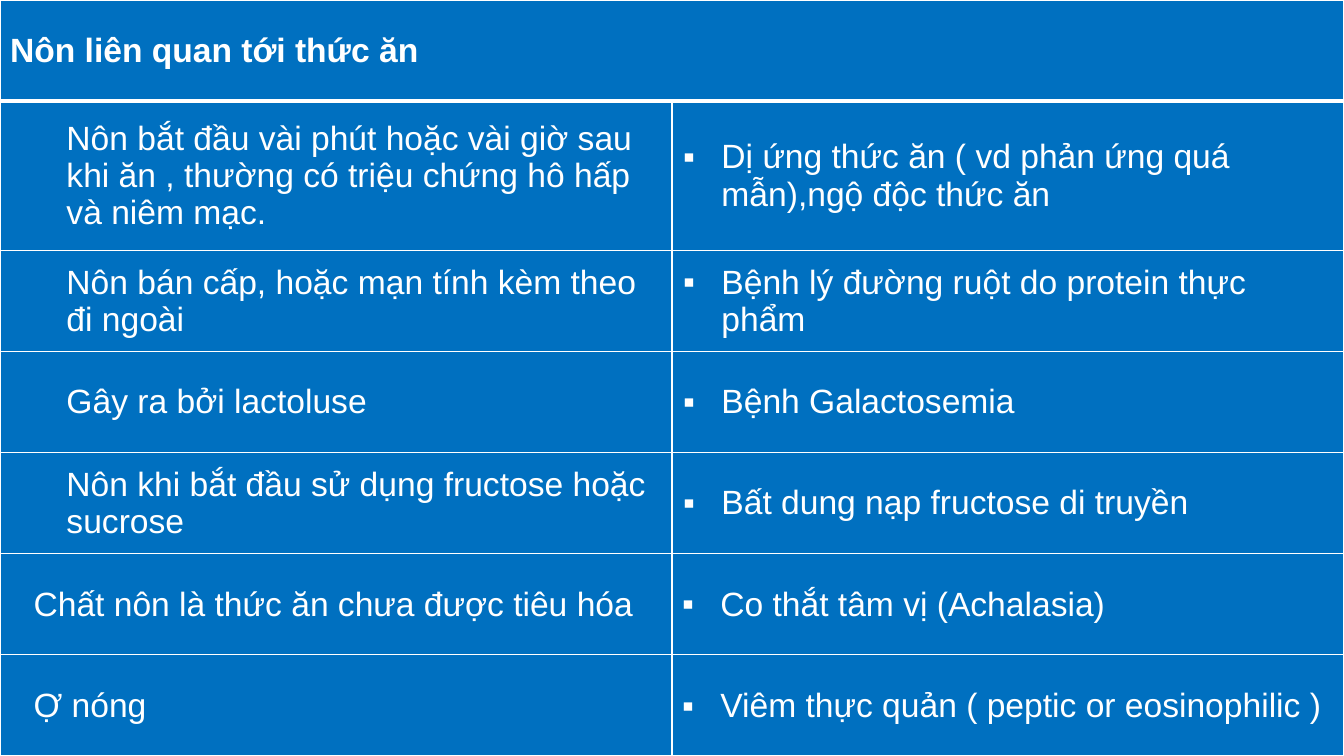
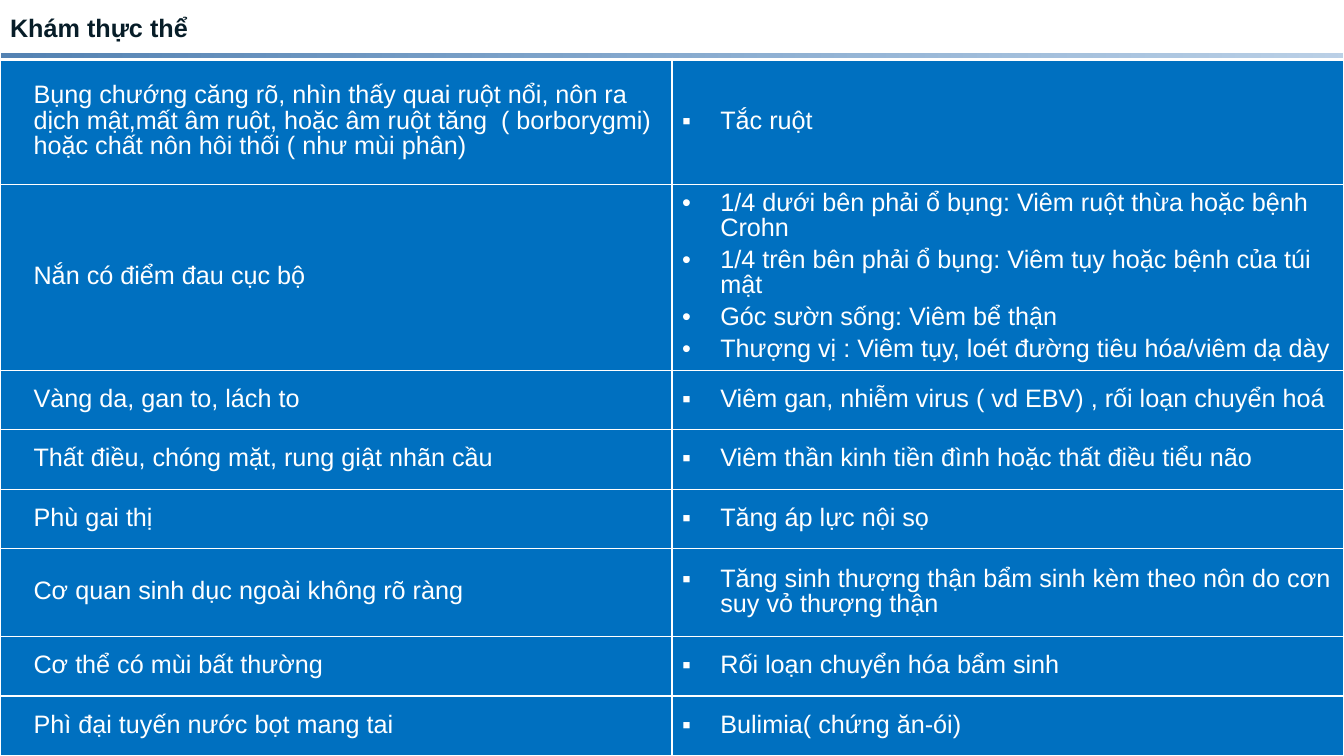
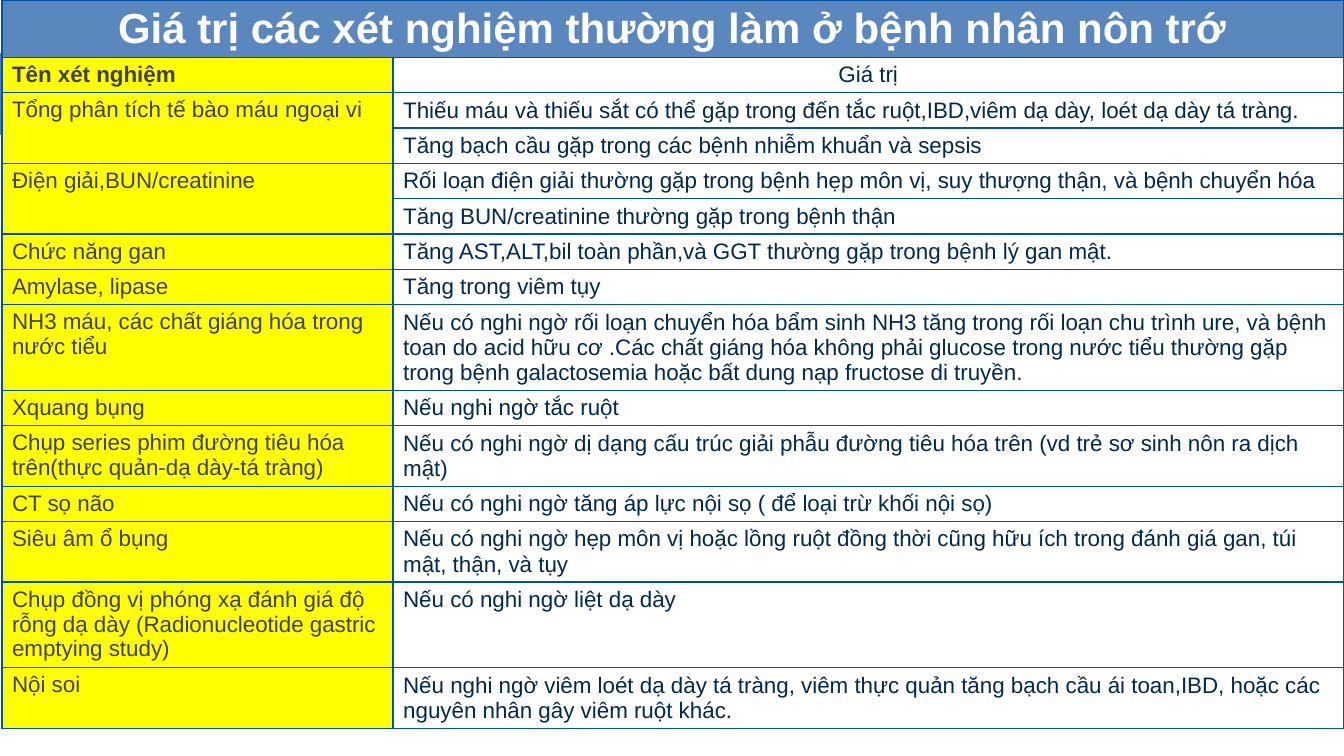
from pptx import Presentation
from pptx.dml.color import RGBColor
from pptx.enum import shapes, text
from pptx.oxml import parse_xml, ns
from pptx.util import Pt

WHITE = RGBColor(0xFF, 0xFF, 0xFF)
BLUE = RGBColor(0x00, 0x70, 0xC0)
NAVY = RGBColor(0x00, 0x52, 0xA4)
DEEP_NAVY = RGBColor(0x00, 0x47, 0x8F)
STEEL = RGBColor(0x5A, 0x87, 0xBE)
YELLOW = RGBColor(0xFF, 0xFF, 0x00)
INK = RGBColor(0x07, 0x1D, 0x28)
GREY = RGBColor(0x40, 0x40, 0x40)
TEXT_BLUE = RGBColor(0x00, 0x29, 0x52)

FONT = "Arial"
WIDTH, HEIGHT = 960, 540
HANGING = 27.36
SQUARE, DOT = "▪", "•"

# Each finding pairs a sign with its possible causes
FOOD_TITLE = "Nôn liên quan tới thức ăn"
FOOD_FINDINGS = [
    ("Nôn bắt đầu vài phút hoặc vài giờ sau khi ăn , thường có triệu chứng hô hấp và niêm mạc.",
     "Dị ứng thức ăn ( vd phản ứng quá mẫn),ngộ độc thức ăn"),
    ("Nôn bán cấp, hoặc mạn tính kèm theo đi ngoài",
     "Bệnh lý đường ruột do protein thực phẩm"),
    ("Gây ra bởi lactoluse", "Bệnh Galactosemia"),
    ("Nôn khi bắt đầu sử dụng fructose hoặc sucrose", "Bất dung nạp fructose di truyền"),
    ("Chất nôn là thức ăn chưa được tiêu hóa", "Co thắt tâm vị (Achalasia)"),
    ("Ợ nóng", "Viêm thực quản ( peptic or eosinophilic )"),
]
EXAM_TITLE = "Khám thực thể"
EXAM_FINDINGS = [
    ("Bụng chướng căng rõ, nhìn thấy quai ruột nổi, nôn ra dịch mật,mất âm ruột, "
     "hoặc âm ruột tăng  ( borborygmi) hoặc chất nôn hôi thối ( như mùi phân)", "Tắc ruột"),
    ("Nắn có điểm đau cục bộ",
     "1/4 dưới bên phải ổ bụng: Viêm ruột thừa hoặc bệnh Crohn\n"
     "1/4 trên bên phải ổ bụng: Viêm tụy hoặc bệnh của túi mật\n"
     "Góc sườn sống: Viêm bể thận\n"
     "Thượng vị : Viêm tụy, loét đường tiêu hóa/viêm dạ dày"),
    ("Vàng da, gan to, lách to", "Viêm gan, nhiễm virus ( vd EBV) , rối loạn chuyển hoá"),
    ("Thất điều, chóng mặt, rung giật nhãn cầu",
     "Viêm thần kinh tiền đình hoặc thất điều tiểu não"),
    ("Phù gai thị", "Tăng áp lực nội sọ"),
    ("Cơ quan sinh dục ngoài không rõ ràng",
     "Tăng sinh thượng thận bẩm sinh kèm theo nôn do cơn suy vỏ thượng thận"),
    ("Cơ thể có mùi bất thường", "Rối loạn chuyển hóa bẩm sinh"),
    ("Phì đại tuyến nước bọt mang tai", "Bulimia( chứng ăn-ói)"),
]
# Each test: name, then its values as (text, number of lines in the row)
TEST_TITLE = "Giá trị các xét nghiệm thường làm ở bệnh nhân nôn trớ"
TEST_HEADS = ("Tên xét nghiệm", "Giá trị")
TESTS = [
    ("Tổng phân tích tế bào máu ngoại vi",
     [("Thiếu máu và thiếu sắt có thể gặp trong đến tắc ruột,IBD,viêm dạ dày, "
       "loét dạ dày tá tràng.", 1),
      ("Tăng bạch cầu gặp trong các bệnh nhiễm khuẩn và sepsis", 1)]),
    ("Điện giải,BUN/creatinine",
     [("Rối loạn điện giải thường gặp trong bệnh hẹp môn vị, suy thượng thận, "
       "và bệnh chuyển hóa", 1),
      ("Tăng BUN/creatinine thường gặp trong bệnh thận", 1)]),
    ("Chức năng gan",
     [("Tăng AST,ALT,bil toàn phần,và GGT thường gặp trong bệnh lý gan mật.", 1)]),
    ("Amylase, lipase", [("Tăng trong viêm tụy", 1)]),
    ("NH3 máu, các chất giáng hóa trong nước tiểu",
     [("Nếu có nghi ngờ rối loạn chuyển hóa bẩm sinh NH3 tăng trong rối loạn chu trình ure, "
       "và bệnh toan do acid hữu cơ .Các chất giáng hóa không phải glucose trong nước tiểu "
       "thường gặp trong bệnh galactosemia hoặc bất dung nạp fructose di truyền.", 3)]),
    ("Xquang bụng", [("Nếu nghi ngờ tắc ruột", 1)]),
    ("Chụp series phim đường tiêu hóa trên(thực quản-dạ dày-tá tràng)",
     [("Nếu có nghi ngờ dị dạng cấu trúc giải phẫu đường tiêu hóa trên "
       "(vd trẻ sơ sinh nôn ra dịch mật)", 2)]),
    ("CT sọ não", [("Nếu có nghi ngờ tăng áp lực nội sọ ( để loại trừ khối nội sọ)", 1)]),
    ("Siêu âm ổ bụng",
     [("Nếu có nghi ngờ hẹp môn vị hoặc lồng ruột đồng thời cũng hữu ích trong đánh giá "
       "gan, túi mật, thận, và tụy", 2)]),
    ("Chụp đồng vị phóng xạ đánh giá độ rỗng dạ dày (Radionucleotide gastric emptying study)",
     [("Nếu có nghi ngờ liệt dạ dày", 3)]),
    ("Nội soi",
     [("Nếu nghi ngờ viêm loét dạ dày tá tràng, viêm thực quản tăng bạch cầu ái toan,IBD, "
       "hoặc các nguyên nhân gây viêm ruột khác.", 2)]),
]


def write(cell, words, size=16, color=WHITE, bold=False, fill=None, align=text.PP_ALIGN.LEFT,
          anchor=text.MSO_ANCHOR.TOP, left=7.2, top=3.6, leading=None, bullet=None):
    """Fill a cell with one paragraph for each line of words."""
    if fill is None:
        cell.fill.background()
    else:
        cell.fill.solid()
        cell.fill.fore_color.rgb = fill
    cell.vertical_anchor = anchor
    cell.margin_left, cell.margin_top = Pt(left), Pt(top)
    cell.text_frame.text = words
    for paragraph in cell.text_frame.paragraphs:
        paragraph.alignment = align
        if leading:
            paragraph.line_spacing = Pt(leading)
        if bullet:
            paragraph.space_before = paragraph.space_after = Pt(2.4)
            props = paragraph._p.get_or_add_pPr()
            props.set("marL", str(Pt(HANGING)))
            props.set("indent", str(-Pt(HANGING)))
            for tag in (f'buFont {ns.nsdecls("a")} typeface="{FONT}"',
                        f'buChar {ns.nsdecls("a")} char="{bullet}"'):
                props.append(parse_xml(f"<a:{tag}/>"))
        for run in paragraph.runs:
            font = run.font
            font.name, font.size, font.bold = FONT, Pt(size), bold
            font.color.rgb = color


def rule_cells(table, color, title_rule=1):
    """Draw 1 pt borders, with a separate weight below the title row."""
    for r, row in enumerate(table.rows):
        for cell in row.cells:
            props = cell._tc.get_or_add_tcPr()
            weights = {"L": 1, "R": 1, "T": title_rule if r == 1 else 1,
                       "B": title_rule if r == 0 else 1}
            for place, (side, weight) in enumerate(weights.items()):
                props.insert(place, parse_xml(
                    f'<a:ln{side} {ns.nsdecls("a")} w="{Pt(weight)}"><a:solidFill>'
                    f'<a:srgbClr val="{color}"/></a:solidFill></a:ln{side}>'))


def add_grid(slide, left, top, widths, heights):
    """Add a plain table whose first row is one merged title cell."""
    table = slide.shapes.add_table(len(heights), len(widths), Pt(left), Pt(top),
                                   Pt(sum(widths)), Pt(sum(heights))).table
    table.first_row = table.horz_banding = False
    for column, width in zip(table.columns, widths):
        column.width = Pt(width)
    for row, height in zip(table.rows, heights):
        row.height = Pt(height)
    table.cell(0, 0).merge(table.cell(0, len(widths) - 1))
    return table


def add_findings(slide, box, title, findings, heights, size, title_format,
                 deep_rows=0, leading=None):
    """Two equal columns: signs on the left, bulleted causes on the right."""
    left, top, width = box
    table = add_grid(slide, left, top, [width / 2] * 2, heights)
    shared = dict(size=size, leading=leading, anchor=text.MSO_ANCHOR.MIDDLE)
    write(table.cell(0, 0), title, bold=True, **shared, **title_format)
    for r, (sign, causes) in enumerate(findings, 1):
        deep = r <= deep_rows
        write(table.cell(r, 0), sign, fill=BLUE, left=47.5 if deep else 24, **shared)
        write(table.cell(r, 1), causes, fill=BLUE, left=8 if deep else 7.2,
              bullet=DOT if "\n" in causes else SQUARE, **shared)
    rule_cells(table, WHITE, title_rule=3)


def add_tests(slide, box, title, heads, tests):
    """Test names in yellow, each beside one or more rows of values."""
    left, top, width = box
    name_width, leading = 279.4, 18
    lines = [1] + [count for _, values in tests for _, count in values]
    heights = [41] + [7.2 + leading * count for count in lines]
    table = add_grid(slide, left, top, [name_width, width - name_width], heights)
    center = text.PP_ALIGN.CENTER
    write(table.cell(0, 0), title, size=30, bold=True, fill=STEEL, align=center)
    write(table.cell(1, 0), heads[0], color=GREY, bold=True, fill=YELLOW)
    write(table.cell(1, 1), heads[1], color=TEXT_BLUE, fill=WHITE, align=center)
    r = 2
    for name, values in tests:
        if len(values) > 1:
            table.cell(r, 0).merge(table.cell(r + len(values) - 1, 0))
        write(table.cell(r, 0), name, color=GREY, fill=YELLOW)
        for value, _ in values:
            write(table.cell(r, 1), value, color=TEXT_BLUE, fill=WHITE, leading=leading)
            r += 1
    rule_cells(table, NAVY)


def add_master_band(deck, slide):
    """Build the fading band and move it to the master, behind every slide."""
    band = slide.shapes.add_shape(shapes.MSO_SHAPE.RECTANGLE, 0, Pt(38.2), Pt(WIDTH), Pt(57.6))
    band.shadow.inherit = False
    band.line.fill.background()
    band.fill.gradient()
    band.fill.gradient_angle = 0
    for stop, place, color in zip(band.fill.gradient_stops, (0, 1), (DEEP_NAVY, NAVY)):
        stop.position, stop.color.rgb = place, color
    gradient = band.element.spPr.find(ns.qn("a:gradFill"))
    for color, opacity in zip(gradient.iter(ns.qn("a:srgbClr")), (68, 27)):
        color.append(parse_xml(f'<a:alpha {ns.nsdecls("a")} val="{opacity * 1000}"/>'))
    deck.slide_master.element.cSld.spTree.insert(2, band.element)


def main():
    deck = Presentation()
    deck.slide_width, deck.slide_height = Pt(WIDTH), Pt(HEIGHT)
    food, exam, tests = [deck.slides.add_slide(deck.slide_layouts[6]) for _ in range(3)]
    add_master_band(deck, food)

    # Vomiting related to food
    add_findings(food, (0, 0, WIDTH), FOOD_TITLE, FOOD_FINDINGS,
                 [72.2, 106.8] + [72.2] * 5, 24, dict(fill=BLUE), deep_rows=4)
    # Physical examination
    add_findings(exam, (0, 0, WIDTH), EXAM_TITLE, EXAM_FINDINGS,
                 [42.5, 89.2, 132.8] + [42.5] * 3 + [62.8] + [42.5] * 2, 18,
                 dict(color=INK, top=5), leading=18)
    # Value of common tests
    add_tests(tests, (1.4, 0, 958.3), TEST_TITLE, TEST_HEADS, TESTS)

    deck.save("out.pptx")


if __name__ == "__main__":
    main()
